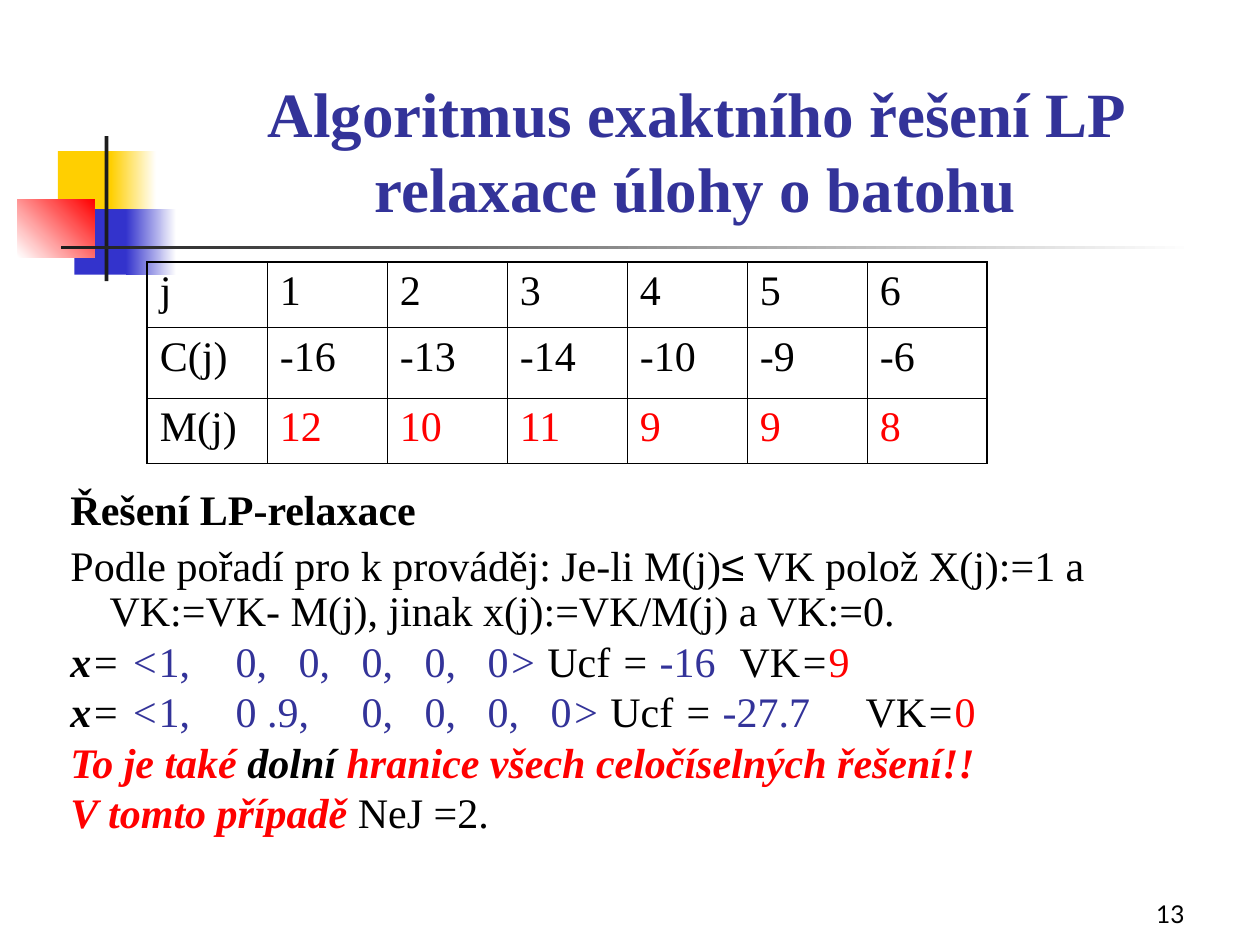
from lxml.etree import SubElement as Sub
from pptx import Presentation
from pptx.dml.color import RGBColor as RGB
from pptx.enum.shapes import MSO_SHAPE as Shape
from pptx.enum.text import MSO_ANCHOR as Anchor, MSO_AUTO_SIZE as Auto, PP_ALIGN as Align
from pptx.oxml.ns import qn
from pptx.util import Pt

SERIF = "Times New Roman"
COLS = {"black": "000000", "navy": "333399", "red": "FF0000", "blue": "3333CC",
        "gold": "FFCF01", "dark": "1C1C1C", "white": "FFFFFF"}

# Marks in a run's style: colour by letter, b = bold, i = italic, a = Arial
INKS = {"k": "black", "n": "navy", "r": "red"}

# Tab stops of the solution rows: position and alignment
TABS = [(155, "r"), (203, "r"), (275, "r"), (340.5, "r"), (395, "l"), (556, "l")]

DATA = [["j", "1", "2", "3", "4", "5", "6"],
        ["C(j)", "-16", "-13", "-14", "-10", "-9", "-6"],
        ["M(j)", "12", "10", "11", "9", "9", "8"]]


def ink(name):
    return RGB.from_string(COLS[name])


def place(shape, left, top, width, height):
    shape.left, shape.top = Pt(left), Pt(top)
    shape.width, shape.height = Pt(width), Pt(height)


def style(font, size, name=SERIF, color="black", bold=None):
    font.size, font.name, font.bold = Pt(size), name, bold
    font.color.rgb = ink(color)


def add_block(slide, box, first, last=None, angle=0):
    """Add a plain block, or a faded one when a last colour is given."""
    block = slide.shapes.add_shape(Shape.RECTANGLE, *map(Pt, box))
    block.shadow.inherit = False
    block.line.fill.background()
    if last is None:
        block.fill.solid()
        block.fill.fore_color.rgb = ink(first)
        return
    block.fill.gradient()
    block.fill.gradient_angle = angle
    for stop, name in zip(block.fill.gradient_stops, (first, last)):
        stop.color.rgb = ink(name)


def add_para(frame, runs, first=False, tabs=(), before=0, lines=1):
    para = frame.paragraphs[0] if first else frame.add_paragraph()
    props = para._p.get_or_add_pPr()
    props.set("marL", str(Pt(37.4)))
    props.set("indent", str(-Pt(22.3)))
    Sub(props, qn("a:buNone"))
    if tabs:
        stops = Sub(props, qn("a:tabLst"))
        for pos, side in tabs:
            Sub(stops, qn("a:tab"), pos=str(Pt(pos)), algn=side)
    para.space_before, para.line_spacing = Pt(before), lines
    para.font.size = Pt(24)
    for text, marks in runs:
        run = para.add_run()
        run.text = text
        font = run.font
        font.name = "Arial" if "a" in marks else SERIF
        font.bold, font.italic = "b" in marks, "i" in marks
        font.color.rgb = ink(INKS[marks[0]])


def add_row(frame, second, cost, left):
    """Add one solution vector with its cost and the capacity left."""
    add_para(frame, [
        ("x", "kbi"), ("= ", "ki"), ("<", "ni"),
        (f"1,\t{second},\t0,\t0,\t0,\t0", "n"), ("> ", "ni"),
        ("Ucf ", "k"), ("= ", "ki"), (f"{cost}\t", "n"),
        ("VK", "k"), ("=", "ki"), (left, "r")], tabs=TABS)


def add_edges(cell, widths):
    props = cell._tc.get_or_add_tcPr()
    fills = list(props)
    for side, width in zip("LRTB", widths):
        line = Sub(props, qn(f"a:ln{side}"), w=str(Pt(width)))
        Sub(Sub(line, qn("a:solidFill")), qn("a:srgbClr"), val=COLS["black"])
    props.extend(fills)  # borders come before the fill


def add_grid(slide):
    rows, cols = len(DATA), len(DATA[0])
    grid = slide.shapes.add_table(rows, cols, Pt(84.2), Pt(149.8),
                                  Pt(480), Pt(115.1)).table
    grid.first_row = grid.horz_banding = False
    for col in grid.columns:
        col.width = Pt(480 / cols)
    for row, height in zip(grid.rows, (37.4, 40.3, 37.4)):
        row.height = Pt(height)
    for r, line in enumerate(DATA):
        for c, text in enumerate(line):
            cell = grid.cell(r, c)
            cell.text = text
            cell.fill.background()
            style(cell.text_frame.paragraphs[0].font, 24,
                  color="red" if r == rows - 1 and c else "black")
            outer = (c == 0, c == cols - 1, r == 0, r == rows - 1)
            add_edges(cell, [1.08 if edge else 0.45 for edge in outer])


def set_title(slide):
    title = slide.shapes.title
    place(title, 90.7, 30.2, 613.4, 102.2)
    frame = title.text_frame
    frame.text = "Algoritmus exaktního řešení LP relaxace úlohy o batohu"
    frame.vertical_anchor, frame.auto_size = Anchor.BOTTOM, Auto.NONE
    para = frame.paragraphs[0]
    para.alignment = Align.CENTER
    style(para.font, 36, color="navy", bold=True)


def set_body(slide):
    body = slide.placeholders[1]
    place(body, 18, 275.8, 684, 234)
    frame = body.text_frame
    frame.auto_size = Auto.NONE
    add_para(frame, [("Řešení LP-relaxace", "kb")], first=True, lines=0.9)
    add_para(frame, [
        ("Podle pořadí pro k prováděj: Je-li M(j)", "k"), ("≤", "ka"),
        (" VK polož X(j):=1 a VK:=VK- M(j), jinak x(j):=VK/M(j) a VK:=0.", "k")],
        before=6, lines=0.9)
    add_row(frame, "0", "-16", "9")
    add_row(frame, "0 .9", "-27.7", "0")
    add_para(frame, [("To je také ", "rbi"), ("dolní", "kbi"),
                     (" hranice všech celočíselných řešení!!", "rbi")])
    add_para(frame, [("V tomto případě ", "rbi"), ("NeJ =2.", "k")])


def add_number(slide):
    frame = slide.shapes.add_textbox(Pt(534.2), Pt(498.2), Pt(149.8), Pt(36)).text_frame
    frame.word_wrap, frame.vertical_anchor = True, Anchor.BOTTOM
    para = frame.paragraphs[0]
    para.text, para.alignment = "13", Align.RIGHT
    style(para.font, 14, name="Lato")


def main():
    deck = Presentation()
    deck.slide_width, deck.slide_height = Pt(720), Pt(540)
    slide = deck.slides.add_slide(deck.slide_layouts[1])

    # Corner blocks and the two bars
    add_block(slide, (33.1, 86.4, 34.6, 37.4), "gold")
    add_block(slide, (63.4, 86.4, 25.9, 37.4), "gold", "white")
    add_block(slide, (42.5, 119.5, 33.1, 37.4), "blue")
    add_block(slide, (72, 119.5, 28.8, 37.4), "blue", "white")
    add_block(slide, (10.1, 113.8, 43.9, 33.1), "white", "red", 45)
    add_block(slide, (59.8, 77.8, 2.2, 82.8), "dark")
    add_block(slide, (34.6, 140.4, 648, 2.2), "dark", "white")

    # Content
    set_title(slide)
    set_body(slide)
    add_grid(slide)
    add_number(slide)
    deck.save("out.pptx")


if __name__ == "__main__":
    main()
